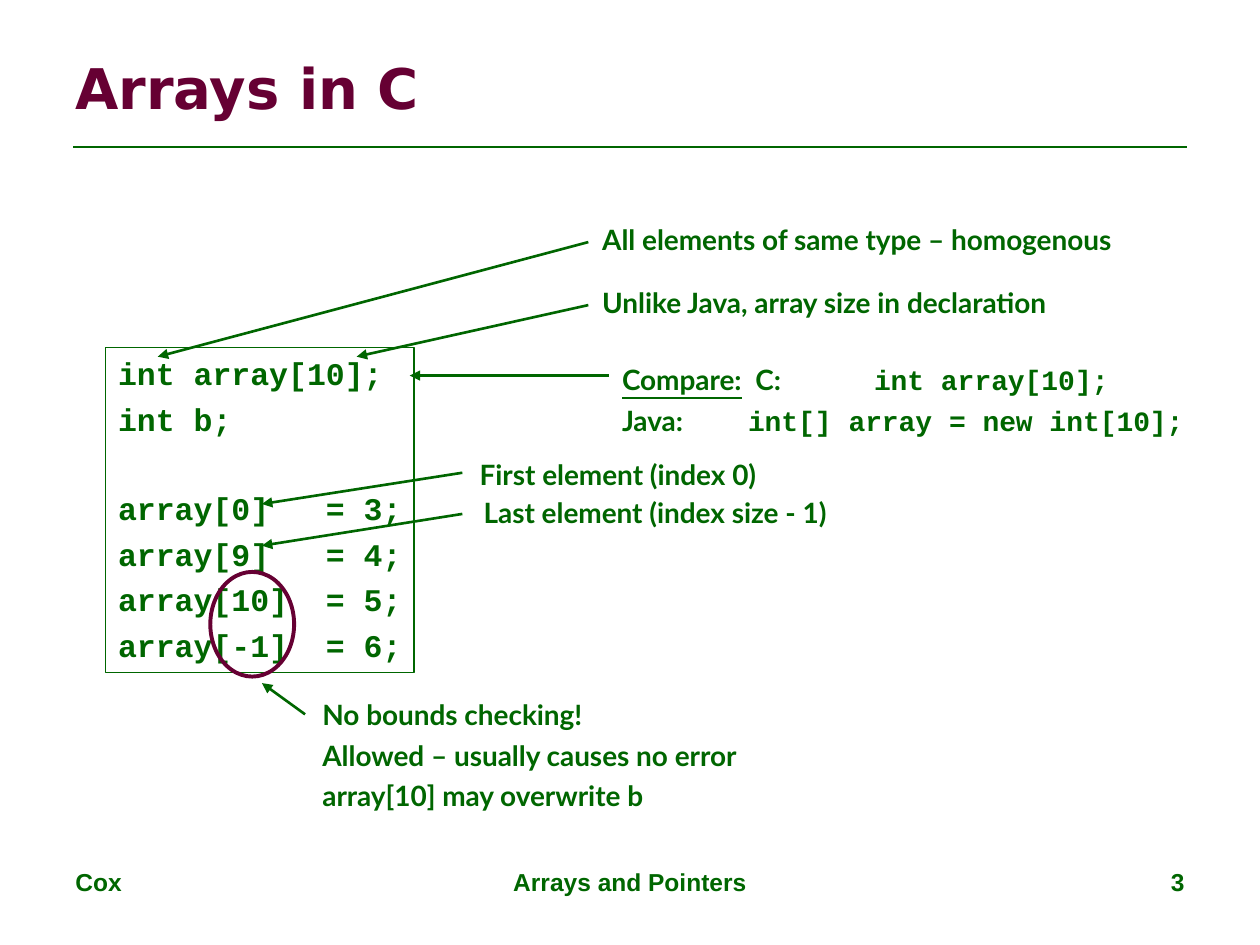
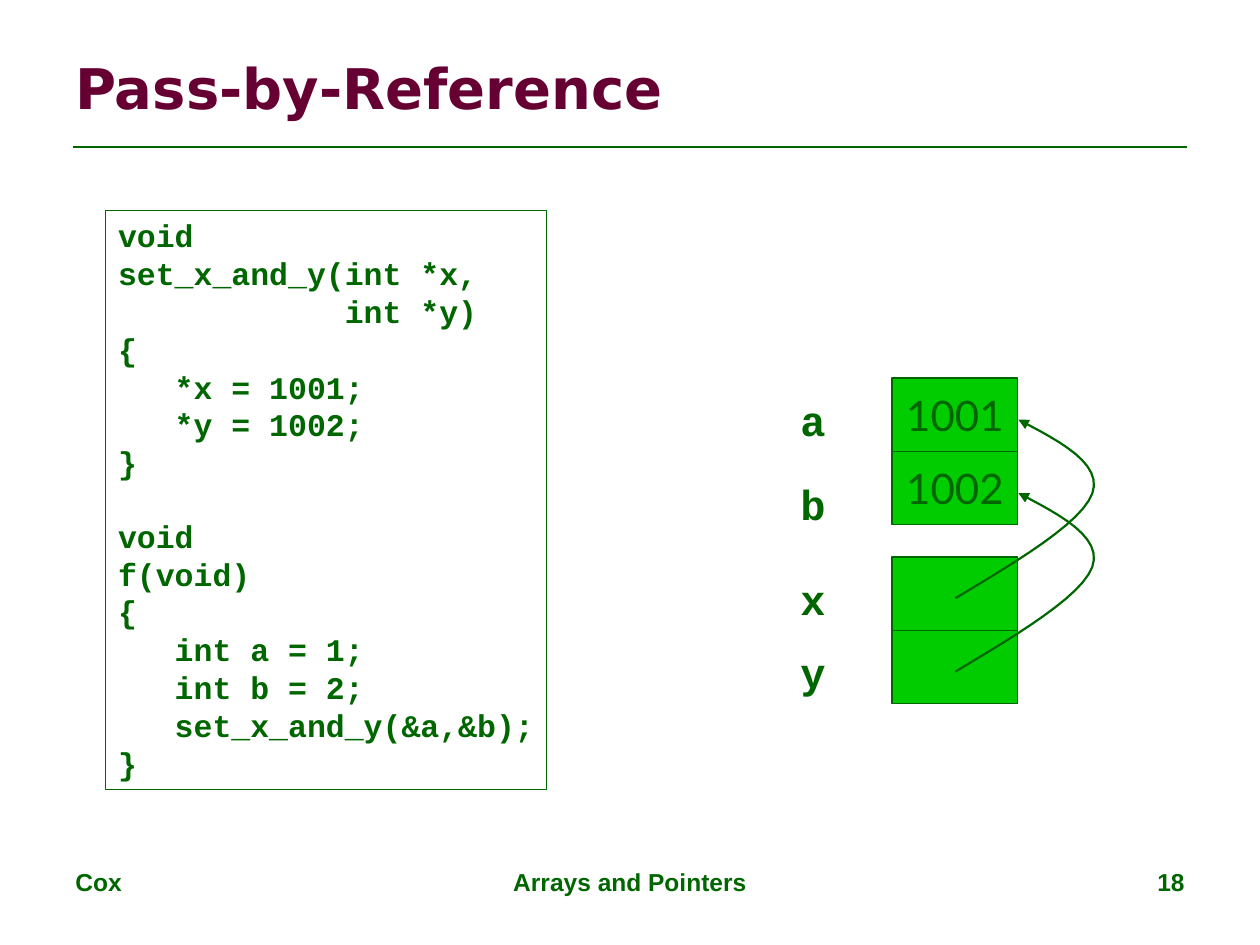
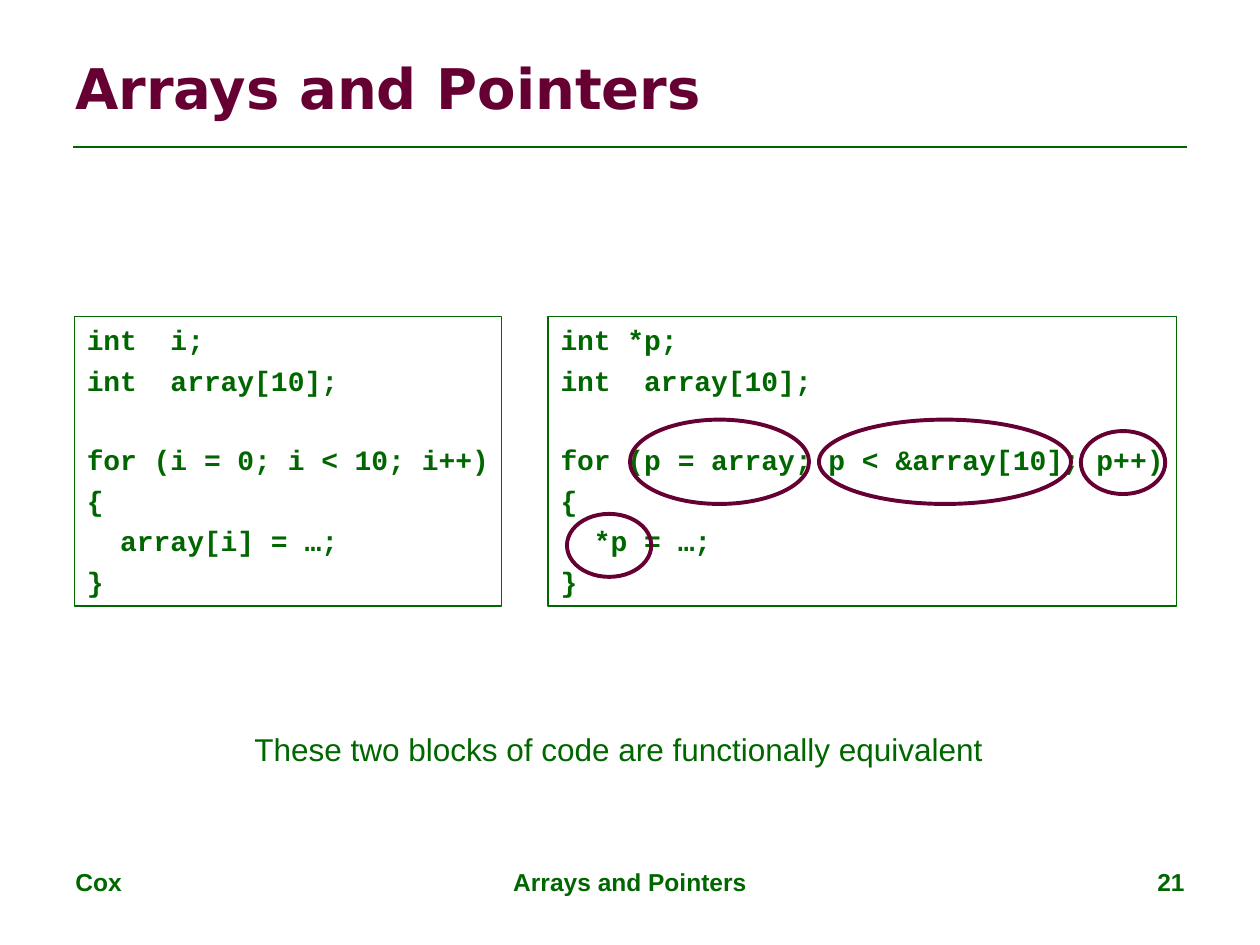
"""Build three lecture slides on arrays and pointers in C."""
from lxml.etree import SubElement
from pptx import Presentation
from pptx.dml.color import RGBColor
from pptx.enum.shapes import MSO_CONNECTOR, MSO_SHAPE
from pptx.enum.text import MSO_ANCHOR, MSO_AUTO_SIZE, PP_ALIGN as AL
from pptx.oxml.ns import qn
from pptx.util import Cm, Pt

COLORS = {"green": "006600", "wine": "660033", "cell": "00CC00"}
HEAD, MONO, BODY, SANS = "DejaVu Sans", "Courier New", "Lato", "Arial"
LINE_HEIGHT = 1.133


def bezier(p0, p1, p2, p3, steps=12):
    for i in range(1, steps + 1):
        t = i / steps
        u = 1 - t
        yield tuple(u**3 * a + 3 * u * u * t * b + 3 * u * t * t * c + t**3 * d
                    for a, b, c, d in zip(p0, p1, p2, p3))


class Deck:
    def __init__(self):
        self.prs = Presentation()
        self.prs.slide_width, self.prs.slide_height = Cm(25.4), Cm(19.05)
        self.s = None

    def slide(self, title, number):
        self.s = self.prs.slides.add_slide(self.prs.slide_layouts[6])
        self.line((1.48, 2.96), (23.92, 2.96))
        footers = ((1.27, 5.93, "Cox", AL.LEFT),
                   (8.68, 8.04, "Arrays and Pointers", AL.CENTER),
                   (18.2, 5.93, str(number), AL.RIGHT))
        for x, w, text, align in footers:
            self.text(x, 17.36, w, 1.32, [text], SANS, 14, align=align, fit=False)
        tf = self.text(1.27, 0.76, 22.86, 1.98, [title], HEAD, 32, color="wine", fit=False)
        tf.vertical_anchor = MSO_ANCHOR.MIDDLE

    def rgb(self, name):
        return RGBColor.from_string(COLORS[name])

    def font(self, r, font, size, bold=True, color="green"):
        r.font.name, r.font.size, r.font.bold = font, Pt(size), bold
        r.font.color.rgb = self.rgb(color)

    def stroke(self, sp, width, color="green", arrow=False):
        sp.line.color.rgb = self.rgb(color)
        sp.line.width = Pt(width)
        if arrow:
            SubElement(sp.element.spPr.find(qn("a:ln")), qn("a:tailEnd"), type="triangle")

    def fill_text(self, tf, lines, font, size, gap=0, align=AL.LEFT, **style):
        p, space = None, gap
        for line in lines:
            if not line:
                space += LINE_HEIGHT * size + gap
                continue
            p = tf.add_paragraph() if p is not None else tf.paragraphs[0]
            p.text, p.alignment, p.space_before = line, align, Pt(space)
            self.font(p.runs[0], font, size, **style)
            space = gap

    def text(self, x, y, w, h, lines, font=BODY, size=16, fit=True, **style):
        tf = self.s.shapes.add_textbox(Cm(x), Cm(y), Cm(w), Cm(h)).text_frame
        tf.word_wrap = not fit
        if fit:
            tf.auto_size = MSO_AUTO_SIZE.SHAPE_TO_FIT_TEXT
        self.fill_text(tf, lines, font, size, **style)
        return tf

    def code(self, x, y, w, h, source, size, gap=0):
        self.text(x, y, w, h, source.strip("\n").split("\n"), MONO, size, gap=gap)
        self.stroke(self.s.shapes[-1], 0.75)

    def run(self, p, text, font, size=16):
        r = p.add_run()
        r.text = text
        self.font(r, font, size)

    def tabs(self, p, *stops):
        tab_list = SubElement(p._p.get_or_add_pPr(), qn("a:tabLst"))
        for stop in stops:
            SubElement(tab_list, qn("a:tab"), pos=str(Cm(stop)), algn="l")

    def line(self, start, end, arrow=False):
        c = self.s.shapes.add_connector(MSO_CONNECTOR.STRAIGHT, *map(Cm, start + end))
        self.stroke(c, 1.5, arrow=arrow)
        SubElement(c.element.spPr, qn("a:effectLst"))

    def ring(self, x, y, w, h):
        sp = self.s.shapes.add_shape(MSO_SHAPE.OVAL, Cm(x), Cm(y), Cm(w), Cm(h))
        sp.shadow.inherit = False
        sp.fill.background()
        self.stroke(sp, 2.25, "wine")

    def cell(self, x, y, w, h, value):
        sp = self.s.shapes.add_shape(MSO_SHAPE.RECTANGLE, Cm(x), Cm(y), Cm(w), Cm(h))
        sp.shadow.inherit = False
        sp.fill.solid()
        sp.fill.fore_color.rgb = self.rgb("cell")
        self.stroke(sp, 0.75)
        if value:
            tf = sp.text_frame
            tf.word_wrap, tf.vertical_anchor = False, MSO_ANCHOR.MIDDLE
            self.fill_text(tf, [value], BODY, 24, align=AL.CENTER, bold=False)

    def curve(self, points, dy=0):
        pts = [(Cm(x), Cm(y + dy)) for x, y in points]
        fb = self.s.shapes.build_freeform(*pts[0])
        fb.add_line_segments([*bezier(*pts[:4]), *bezier(*pts[3:])], close=False)
        sp = fb.convert_to_shape()
        sp.shadow.inherit = False
        sp.fill.background()
        self.stroke(sp, 1.25, arrow=True)


def arrays_in_c(d):
    d.slide("Arrays in C", 3)
    d.code(2.13, 7.01, 6.22, 6.55, """
int array[10];
int b;

array[0]   = 3;
array[9]   = 4;
array[10]  = 5;
array[-1]  = 6;
""", 18, 4.5)
    notes = ((11.89, 4.37, 12.01, "All elements of same type – homogenous"),
             (11.89, 5.64, 10.74, "Unlike Java, array size in declaration"),
             (9.42, 9.09, 6.81, "First element (index 0)"),
             (9.5, 9.86, 8.26, "Last element (index size - 1)"))
    for x, y, w, note in notes:
        d.text(x, y, w, 0.94, [note])
    d.text(6.25, 13.94, 9.86, 2.57, ["No bounds checking!",
                                     "Allowed – usually causes no error",
                                     "array[10] may overwrite b"], gap=4)
    tf = d.text(12.29, 7.19, 11.84, 1.75, ["Compare:", "Java:\t"], gap=4)
    c, java = tf.paragraphs
    c.runs[0].font.underline = True
    d.run(c, "  C:\t", BODY)
    d.run(c, "int array[10];", MONO)
    d.run(java, "int[] array = new int[10];", MONO)
    for p in (c, java):
        d.tabs(p, 2.54, 5.08)
    arrows = (((11.86, 4.88), (3.18, 7.19)), ((11.86, 6.15), (7.19, 7.19)),
              ((12.27, 7.57), (8.26, 7.57)), ((9.32, 9.53), (5.28, 10.16)),
              ((9.32, 10.36), (5.28, 11)), ((6.15, 14.4), (5.28, 13.77)))
    for start, end in arrows:
        d.line(start, end, arrow=True)
    d.ring(4.24, 11.53, 1.69, 2.11)


def pass_by_reference(d):
    d.slide("Pass-by-Reference", 18)
    d.code(2.13, 4.24, 8.89, 11.68, """
void
set_x_and_y(int *x,
            int *y)
{
   *x = 1001;
   *y = 1002;
}

void
f(void)
{
   int a = 1;
   int b = 2;
   set_x_and_y(&a,&b);
}
""", 18)
    step = 1.48
    variables = (("a", 7.82, 7.62, "1001"), ("b", 9.53, 7.62 + step, "1002"),
                 ("x", 11.43, 11.23, ""), ("y", 12.9, 11.23 + step, ""))
    for name, label_y, cell_y, value in variables:
        d.text(15.88, label_y, 1.02, 1.27, [name], MONO, 24, align=AL.CENTER)
        d.cell(17.98, cell_y, 2.54, step, value)
    pointer = ((19.26, 12.06), (20.53, 11.3), (21.8, 10.54), (22.02, 9.95),
               (22.23, 9.35), (21.39, 8.91), (20.53, 8.46))
    for dy in (0, step):
        d.curve(pointer, dy)


def arrays_and_pointers(d):
    d.slide("Arrays and Pointers", 21)
    blocks = ((1.5, 8.61, "int  i;", "i = 0; i < 10; i++", "array[i]"),
              (11.05, 12.67, "int *p;", "p = array; p < &array[10]; p++", "*p"))
    for x, w, declaration, loop, target in blocks:
        d.code(x, 6.38, w, 5.84, f"""
{declaration}
int  array[10];

for ({loop})
{{
  {target} = …;
}}
""", 16, 4)
    for ring in ((12.7, 8.46, 3.61, 1.7), (16.51, 8.46, 5.08, 1.7),
                 (21.79, 8.69, 1.7, 1.27), (11.43, 10.36, 1.7, 1.27)):
        d.ring(*ring)
    d.text(4.88, 14.6, 15.19, 1.02,
           ["These two blocks of code are functionally equivalent"], SANS, 18, bold=False)


def main():
    d = Deck()
    arrays_in_c(d)
    pass_by_reference(d)
    arrays_and_pointers(d)
    d.prs.save("out.pptx")


if __name__ == "__main__":
    main()
